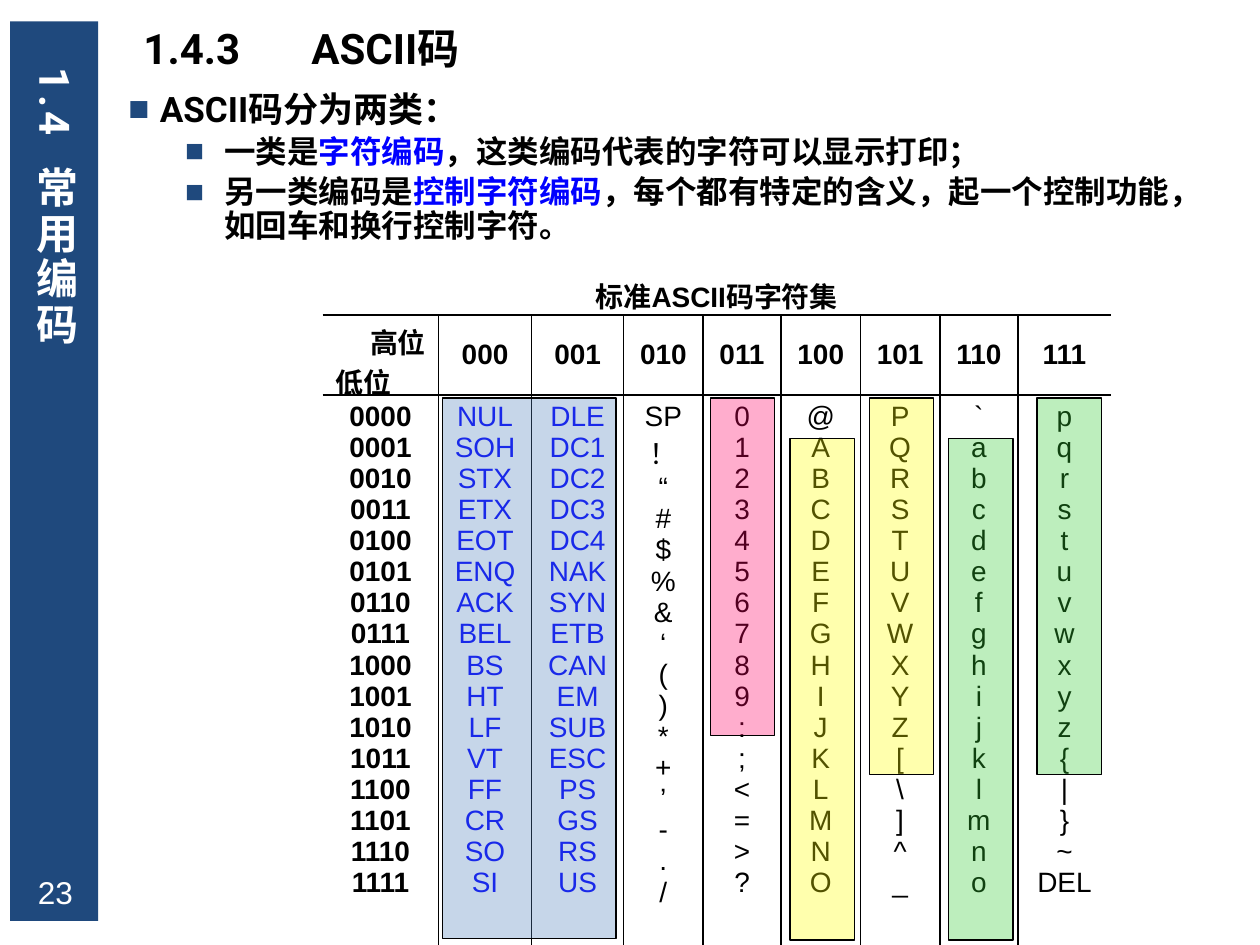
from pptx import Presentation
from pptx.dml.color import RGBColor
from pptx.enum.shapes import MSO_SHAPE
from pptx.enum.text import MSO_ANCHOR, PP_ALIGN
from pptx.oxml.ns import qn
from pptx.util import Inches, Pt
from lxml.etree import SubElement

HUES = {"navy": "1F497D", "white": "FFFFFF", "black": "000000", "code": "0000FF",
        "blue": "4F81BD", "pink": "FF0066", "yellow": "FFFF00", "green": "33CC33"}
rgb = {name: RGBColor.from_string(hue) for name, hue in HUES.items()}


def write(par, text, size, hue="black", face="Roboto", bold=True):
    run = par.add_run()
    run.text = text
    look = {"size": Pt(size), "name": face, "bold": bold}
    for key, value in look.items():
        setattr(run.font, key, value)
    run.font.color.rgb = rgb[hue]
    return run


def rect(left, top, width, height, fill=None, line=None, weight=0.75):
    box = slide.shapes.add_shape(MSO_SHAPE.RECTANGLE, Inches(left), Inches(top),
                                 Inches(width), Inches(height))
    box.shadow.inherit = False
    if fill:
        box.fill.solid()
        box.fill.fore_color.rgb = rgb[fill]
    else:
        box.fill.background()
    if line:
        box.line.color.rgb = rgb[line]
        box.line.width = Pt(weight)
    else:
        box.line.fill.background()
    return box


deck = Presentation()
deck.slide_width, deck.slide_height = Inches(10), Inches(7.5)
slide = deck.slides.add_slide(deck.slide_layouts[6])

# Side bar with page number
rect(0.08, 0.17, 0.7, 7.14, "navy")
page = rect(0.12, 6.9, 0.64, 0.35, line="white", weight=1.5)
page.line.fill.background()
page.text_frame.vertical_anchor = MSO_ANCHOR.MIDDLE
par = page.text_frame.paragraphs[0]
par.alignment = PP_ALIGN.CENTER
write(par, "23", 18, "white", "Arial", False)

# Text boxes: chapter, heading, points
frames = []
for spot in [(0.12, 0.44, 0.65, 6.72), (0.99, 0.13, 8.65, 0.28), (0.87, 0.68, 8.98, 1.5)]:
    frame = slide.shapes.add_textbox(*map(Inches, spot)).text_frame
    frame.word_wrap = True
    frames.append(frame)
side, head, body = frames

side.vertical_anchor = MSO_ANCHOR.MIDDLE
side._txBody.bodyPr.set("vert", "eaVert")
run = write(side.paragraphs[0], "1.4  常用编码", 24, "white")
run.font._element.set("spc", "200")

par = head.paragraphs[0]
props = par._p.get_or_add_pPr()
props.set("marL", str(Inches(0.3)))
props.set("indent", str(Inches(-0.25)))
write(par, "1.4.3\t ASCII码\t", 24)

# Bulleted points: level, left, indent, size, runs
points = [
    (0, 0.3, -0.25, 20, [("ASCII码分为两类：", "black")]),
    (1, 0.81, -0.31, 18, [("一类是", "black"), ("字符编码", "code"),
                          ("，这类编码代表的字符可以显示打印；", "black")]),
    (1, 0.81, -0.31, 18, [("另一类编码是", "black"), ("控制字符编码", "code"),
                          ("，每个都有特定的含义，起一个控制功能，如回车和换行控制字符。", "black")]),
]
for num, (level, left, indent, size, runs) in enumerate(points):
    par = body.add_paragraph() if num else body.paragraphs[0]
    look = {"level": level, "line_spacing": 0.9, "space_before": Pt(size * 0.2)}
    for key, value in look.items():
        setattr(par, key, value)
    props = par._p.get_or_add_pPr()
    props.set("marL", str(Inches(left)))
    props.set("indent", str(Inches(indent)))
    SubElement(SubElement(props, qn("a:buClr")), qn("a:srgbClr")).set("val", HUES["navy"])
    SubElement(props, qn("a:buFont")).set("typeface", "Arial")
    SubElement(props, qn("a:buChar")).set("char", "■")
    for text, hue in runs:
        write(par, text, size, hue)

# Code table: one column for each high part, one line for each low part
codes = [
    "NUL SOH STX ETX EOT ENQ ACK BEL BS HT LF VT FF CR SO SI",
    "DLE DC1 DC2 DC3 DC4 NAK SYN ETB CAN EM SUB ESC PS GS RS US",
    "SP ！ “ # $ % & ‘ ( ) * + ’ - . /",
    "0 1 2 3 4 5 6 7 8 9 : ; < = > ?",
    "@ A B C D E F G H I J K L M N O",
    "P Q R S T U V W X Y Z [ \\ ] ^ _",
    "` a b c d e f g h i j k l m n o",
    "p q r s t u v w x y z { | } ~ DEL",
]
wide = [0.92, 0.74, 0.73, 0.63, 0.62, 0.63, 0.63, 0.62, 0.74]
high = [0.37, 0.63, 4.37]
grid = slide.shapes.add_table(3, 9, Inches(2.56), Inches(2.13),
                              Inches(sum(wide)), Inches(sum(high))).table
grid._tbl.tblPr.find(qn("a:tableStyleId")).text = "{2D5ABB26-0587-4C30-8999-92F81FD0307C}"
grid.first_row = grid.horz_banding = False
for col, width in zip(grid.columns, wide):
    col.width = Inches(width)
for row, height in zip(grid.rows, high):
    row.height = Inches(height)
grid.cell(0, 0).merge(grid.cell(0, 8))

lines = {(0, 0): ["标准ASCII码字符集"], (1, 0): ["高位", "低位"],
         (2, 0): [f"{n:04b}" for n in range(16)]}
for n, text in enumerate(codes):
    lines[1, n + 1] = [f"{n:03b}"]
    lines[2, n + 1] = text.split()

for (row, col), texts in lines.items():
    cell = grid.cell(row, col)
    cell.fill.background()
    if row == 1 and col:
        cell.vertical_anchor = MSO_ANCHOR.MIDDLE
    for n, text in enumerate(texts):
        par = cell.text_frame.add_paragraph() if n else cell.text_frame.paragraphs[0]
        par.alignment = PP_ALIGN.CENTER
        if (row, col) == (1, 0):
            par.alignment = PP_ALIGN.LEFT if n else PP_ALIGN.RIGHT
        hue = "code" if row == 2 and col in (1, 2) else "black"
        write(par, text, 16, hue, "Arial", row < 2 or col == 0)

# Cell borders: rules between columns and under each row, open at the sides
for row in range(3):
    for col in range(9):
        props = grid.cell(row, col)._tc.get_or_add_tcPr()
        shown = {"lnL": row and col > 0, "lnR": row and col < 8,
                 "lnT": row > 0, "lnB": True}
        for n, (side, on) in enumerate(shown.items()):
            rule = props.makeelement(qn("a:" + side), {"w": str(Pt(1))})
            props.insert(n, rule)
            if on:
                fill = SubElement(rule, qn("a:solidFill"))
                SubElement(fill, qn("a:srgbClr")).set("val", HUES["black"])
            else:
                SubElement(rule, qn("a:noFill"))

# See-through marks over the code groups
marks = [(3.51, 3.16, 1.38, 4.29, "blue"), (5.64, 3.16, 0.51, 2.68, "pink"),
         (6.27, 3.48, 0.51, 3.98, "yellow"), (6.9, 3.16, 0.51, 2.99, "yellow"),
         (7.53, 3.48, 0.51, 3.98, "green"), (8.23, 3.16, 0.51, 2.99, "green")]
for *spot, hue in marks:
    mark = rect(*spot, hue, "black")
    tint = mark._element.spPr.find(qn("a:solidFill"))[0]
    SubElement(tint, qn("a:alpha")).set("val", "32000")

deck.save("out.pptx")
